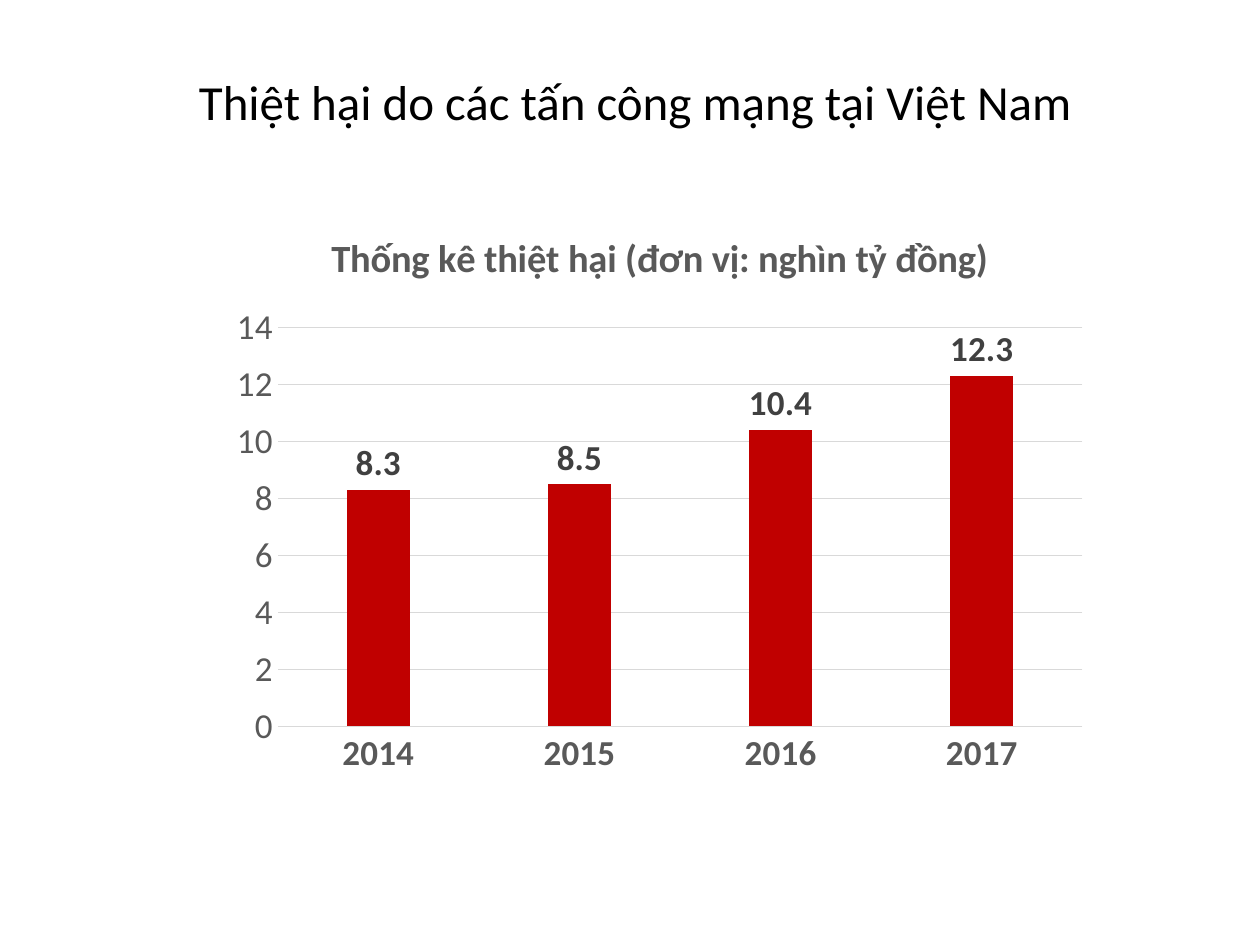
import pptx
import pptx.chart.data
import pptx.dml.color
import pptx.enum.chart
import pptx.enum.text
import pptx.util

Pt = pptx.util.Pt


class DamageSlide:
    FONT = "Calibri"
    COLORS = {
        "title": "000000",
        "text": "595959",
        "label": "404040",
        "bar": "C00000",
        "grid": "D9D9D9",
    }

    def __init__(self, prs):
        self.s = prs.slides.add_slide(prs.slide_layouts[5])

    def color(self, name):
        return pptx.dml.color.RGBColor.from_string(self.COLORS[name])

    def style(self, font, size, color, bold=False):
        font.name = self.FONT
        font.size = Pt(size)
        font.bold = bold
        font.color.rgb = self.color(color)

    def rule(self, line):
        line.color.rgb = self.color("grid")
        line.width = Pt(0.75)

    def title(self, text, x, y, w, h):
        sp = self.s.shapes.title
        sp.left, sp.top, sp.width, sp.height = Pt(x), Pt(y), Pt(w), Pt(h)
        tf = sp.text_frame
        tf.text = text
        tf.word_wrap = True
        tf.vertical_anchor = pptx.enum.text.MSO_ANCHOR.MIDDLE
        p = tf.paragraphs[0]
        p.alignment = pptx.enum.text.PP_ALIGN.LEFT
        self.style(p.runs[0].font, 28, "title")

    def column_chart(self, title, categories, values, x, y, w, h):
        data = pptx.chart.data.CategoryChartData()
        data.categories = categories
        data.add_series("Series 1", values)
        chart = self.s.shapes.add_chart(
            pptx.enum.chart.XL_CHART_TYPE.COLUMN_CLUSTERED,
            Pt(x), Pt(y), Pt(w), Pt(h), data,
        ).chart
        self.style(chart.font, 10, "title")
        chart.has_legend = False
        chart.has_title = True
        tf = chart.chart_title.text_frame
        tf.text = title
        self.style(tf.paragraphs[0].runs[0].font, 22, "text", True)
        chart.chart_title.include_in_layout = False

        for axis, bold in ((chart.category_axis, True), (chart.value_axis, False)):
            axis.major_tick_mark = pptx.enum.chart.XL_TICK_MARK.NONE
            axis.minor_tick_mark = pptx.enum.chart.XL_TICK_MARK.NONE
            self.style(axis.tick_labels.font, 20, "text", bold)
        self.rule(chart.category_axis.format.line)
        chart.value_axis.format.line.fill.background()
        chart.value_axis.has_major_gridlines = True
        self.rule(chart.value_axis.major_gridlines.format.line)
        chart.value_axis.minimum_scale = 0
        chart.value_axis.maximum_scale = 14
        chart.value_axis.major_unit = 2

        plot = chart.plots[0]
        plot.vary_by_categories = False
        plot.gap_width = 219
        plot.overlap = -27
        series = plot.series[0]
        series.format.fill.solid()
        series.format.fill.fore_color.rgb = self.color("bar")
        labels = series.data_labels
        labels.show_value = True
        labels.position = pptx.enum.chart.XL_LABEL_POSITION.OUTSIDE_END
        self.style(labels.font, 20, "label", True)


def main():
    prs = pptx.Presentation()
    prs.slide_width, prs.slide_height = Pt(720), Pt(540)
    slide = DamageSlide(prs)
    slide.title("Thiệt hại do các tấn công mạng tại Việt Nam", 106.5, 29, 522, 57.5)
    slide.column_chart(
        "Thống kê thiệt hại (đơn vị: nghìn tỷ đồng)",
        ["2014", "2015", "2016", "2017"],
        [8.3, 8.5, 10.4, 12.3],
        125.3, 117.4, 503.3, 331.9,
    )
    prs.save("out.pptx")


if __name__ == "__main__":
    main()
